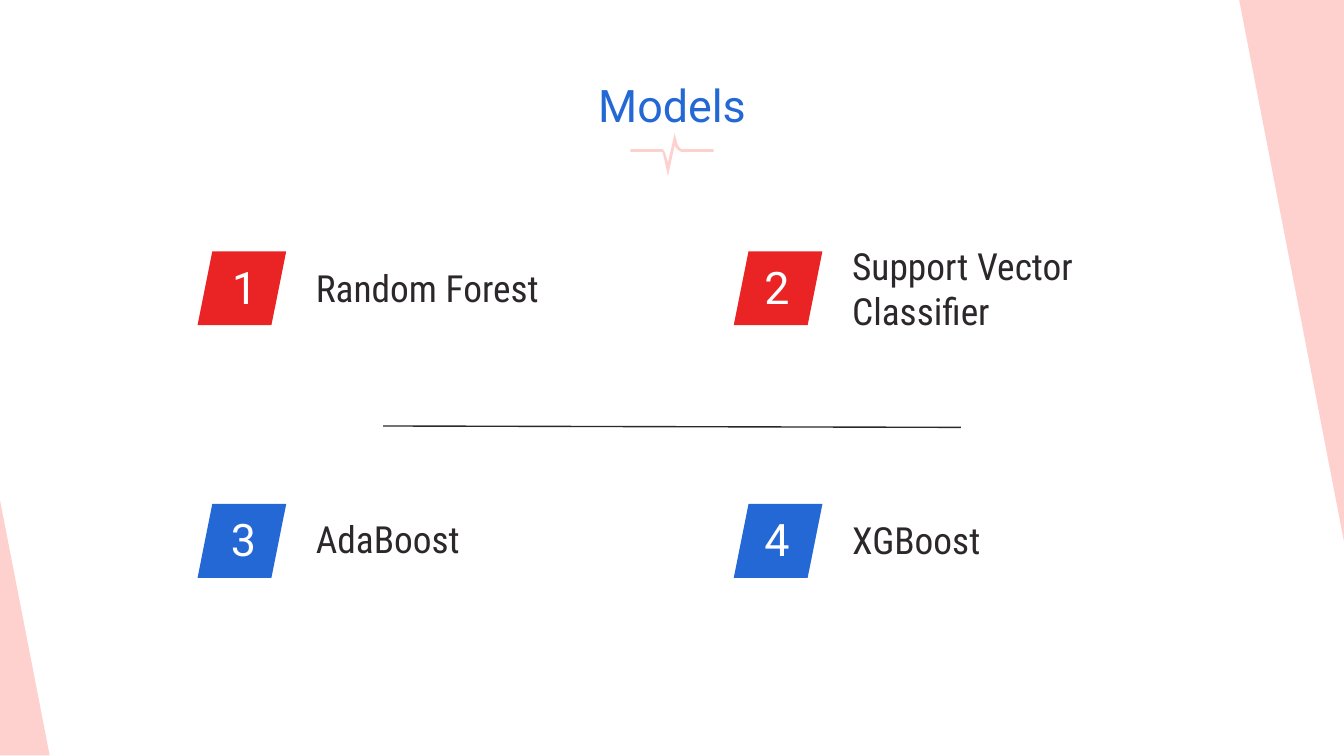
from dataclasses import dataclass

from pptx import Presentation
from pptx.dml.color import RGBColor
from pptx.enum.shapes import MSO_CONNECTOR as Link, MSO_SHAPE as Kind
from pptx.enum.text import MSO_ANCHOR as Anchor, MSO_AUTO_SIZE as Fit, PP_ALIGN as Align
from pptx.oxml.ns import qn
from pptx.util import Inches, Pt
from lxml.etree import SubElement

BLUE, RED, PINK, DARK, WHITE = "2468D6", "EA2424", "FED1CF", "2C272A", "FFFFFF"
HEAD = {"name": "Roboto", "size": Pt(24), "bold": False}
BODY = {"name": "Roboto Condensed", "size": Pt(20), "bold": False}
FRAME = {"word_wrap": True, "auto_size": Fit.NONE, "vertical_anchor": Anchor.TOP}
FRAME |= {f"margin_{side}": Inches(0.1) for side in ("left", "top", "right", "bottom")}
PARA = {"space_before": Pt(0), "space_after": Pt(0), "line_spacing": 1.0}


@dataclass
class Model:
    name: str
    left: float
    top: float
    color: str
    inset: float  # from tile edge to number box
    shift: float = 0  # of the label against the tile top


MODELS = [
    Model("Random Forest", 1.47, 1.87, RED, 0.16),
    Model("Support Vector Classifier", 5.46, 1.87, RED, 0.13, -0.16),
    Model("AdaBoost", 1.47, 3.75, BLUE, 0.15, -0.01),
    Model("XGBoost", 5.46, 3.75, BLUE, 0.13),
]
WEDGES = [
    [(9.22, 0), (10, 0), (10, 4.03)],
    [(0, 3.72), (0.37, 5.62), (0, 5.62)],
]
PULSE = [
    (5.02, 0.99), (4.97, 1.21), (4.95, 1.14), (4.94, 1.12), (4.93, 1.11),
    (4.69, 1.11), (4.69, 1.13), (4.93, 1.13), (4.97, 1.31), (5.02, 1.08),
    (5.03, 1.1), (5.05, 1.12), (5.07, 1.13), (5.31, 1.13), (5.31, 1.11),
    (5.07, 1.11), (5.05, 1.09), (5.04, 1.07), (5.03, 1.03),
]


def rgb(code: str) -> RGBColor:
    return RGBColor.from_string(code)


def paint(shape, color: str) -> None:
    shape.shadow.inherit = False
    shape.fill.solid()
    shape.fill.fore_color.rgb = rgb(color)
    shape.line.fill.background()


def outline(slide, points: list, color: str) -> None:
    start, *rest = [(Inches(x), Inches(y)) for x, y in points]
    pen = slide.shapes.build_freeform(*start)
    pen.add_line_segments(rest, close=True)
    paint(pen.convert_to_shape(), color)


def place(shape, left: float, top: float, width: float, height: float) -> None:
    shape.left, shape.top = Inches(left), Inches(top)
    shape.width, shape.height = Inches(width), Inches(height)


def write(shape, text: str, style: dict, color: str, align=Align.LEFT) -> None:
    frame = shape.text_frame
    frame.text = text
    para = frame.paragraphs[0]
    font = para.runs[0].font
    for item, values in ((frame, FRAME), (para, PARA), (font, style)):
        for key, value in values.items():
            setattr(item, key, value)
    para.alignment = align
    font.color.rgb = rgb(color)
    # No bullet or hanging indent
    props = para._p.get_or_add_pPr()
    props.set("marL", "0")
    props.set("indent", "0")
    SubElement(props, qn("a:buNone"))


def draw(slide, number: int, model: Model, label) -> None:
    tile = slide.shapes.add_shape(Kind.PARALLELOGRAM, 0, 0, 0, 0)
    place(tile, model.left, model.top, 0.66, 0.55)
    tile.adjustments[0] = 0.2
    paint(tile, model.color)
    box = slide.shapes.add_textbox(0, 0, 0, 0)
    place(box, model.left + model.inset, model.top - 0.04, 0.54, 0.31)
    write(box, str(number), HEAD, WHITE)
    place(label, model.left + 0.78, model.top + model.shift, 2.44, 0.93)
    write(label, model.name, BODY, DARK)


def main() -> None:
    deck = Presentation()
    deck.slide_width = Inches(10)
    deck.slide_height = deck.slide_width * 9 // 16
    # The comparison layout has a title and four bodies
    slide = deck.slides.add_slide(deck.slide_layouts[4])
    title, *labels = slide.placeholders

    # Background and divider
    for points in (*WEDGES, PULSE):
        outline(slide, points, PINK)
    ends = [Inches(n) for n in (2.85, 3.17, 7.15, 3.18)]
    rule = slide.shapes.add_connector(Link.STRAIGHT, *ends)
    rule.line.color.rgb = rgb(DARK)
    rule.line.width = Pt(0.75)
    SubElement(rule._element.spPr, qn("a:effectLst"))

    # Title
    place(title, 0, 0.48, 10, 0.46)
    write(title, "Models", HEAD, BLUE, Align.CENTER)

    # Numbered models
    for number, (model, label) in enumerate(zip(MODELS, labels), 1):
        draw(slide, number, model, label)
    deck.save("out.pptx")


if __name__ == "__main__":
    main()
